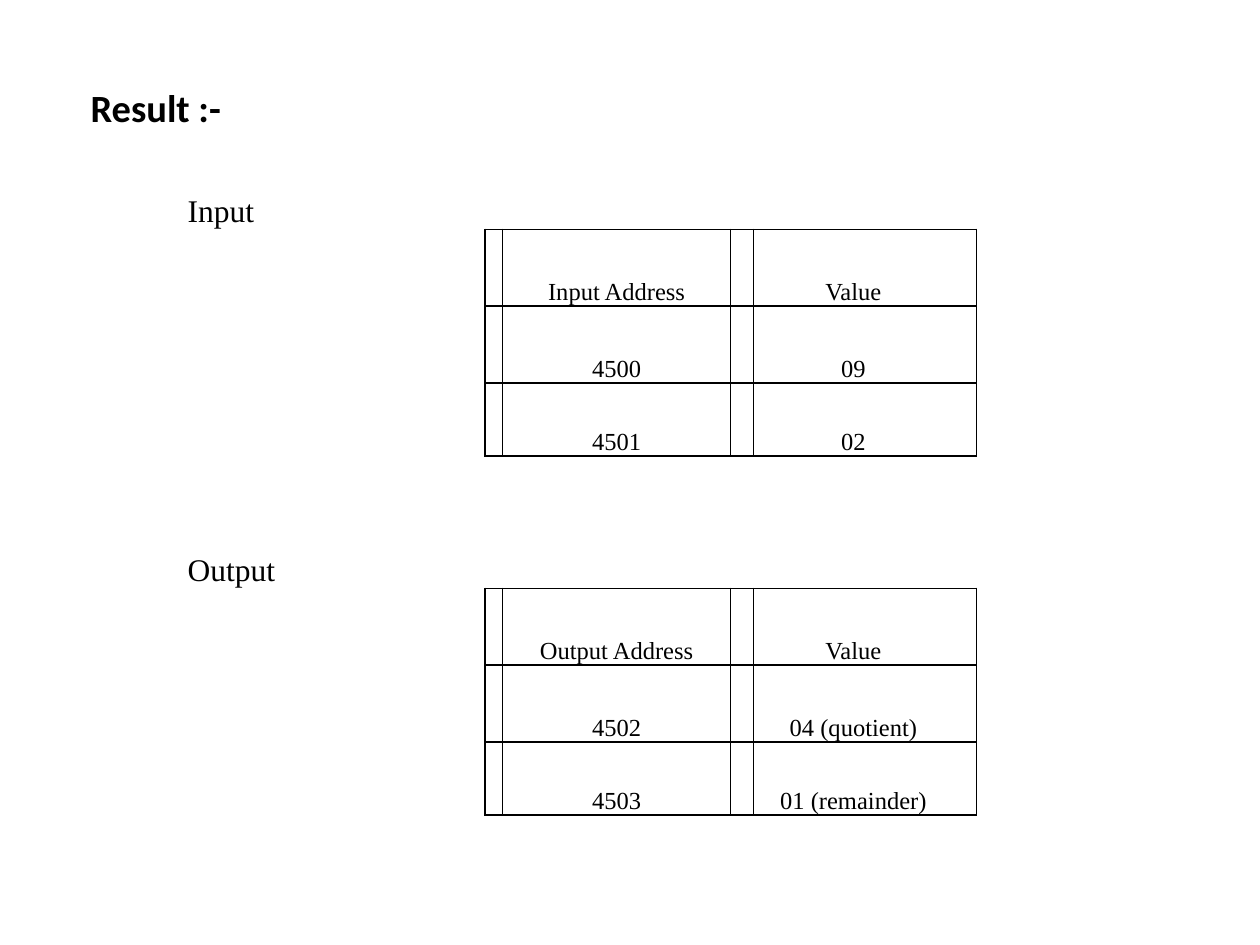
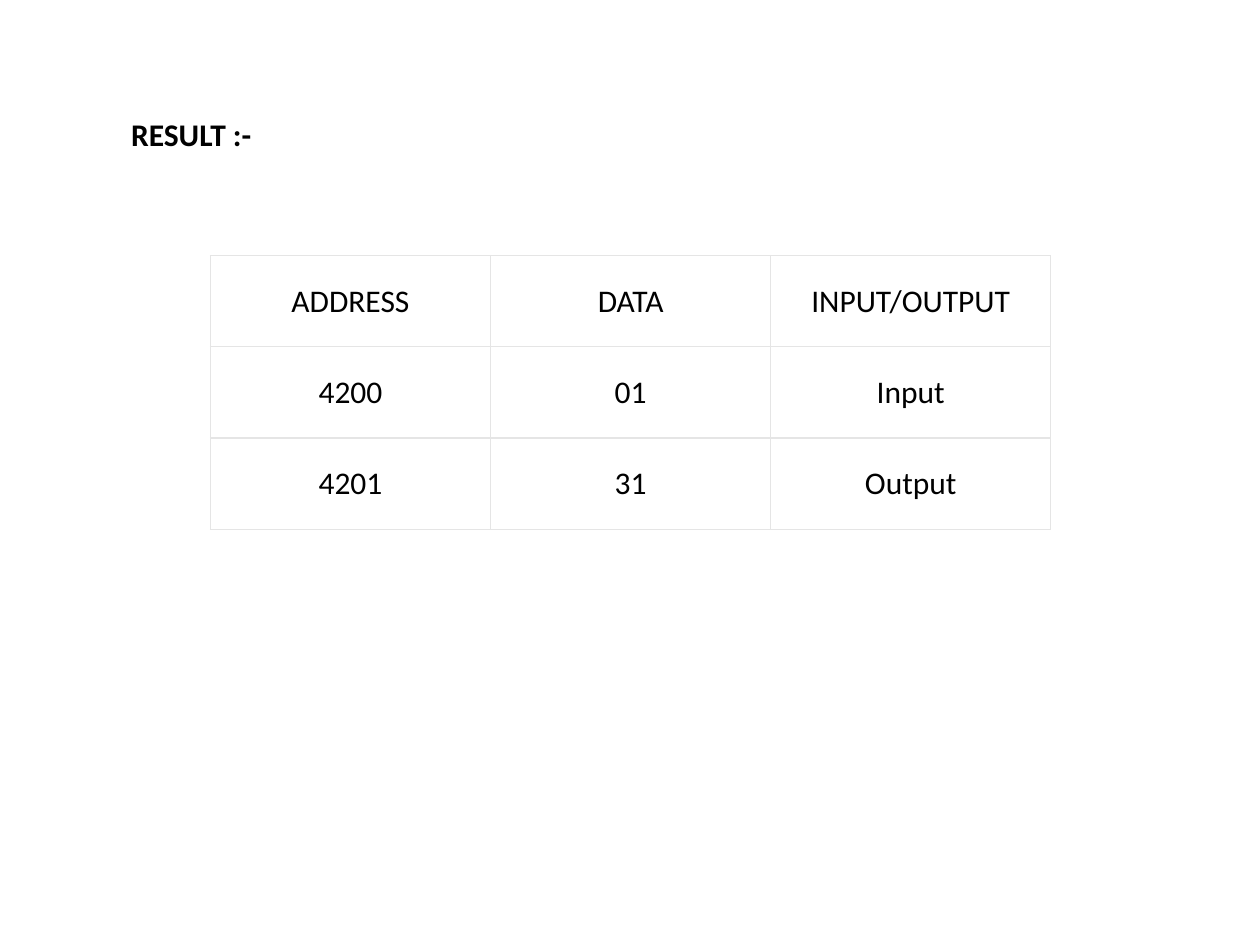
"""Build two slides that show program results in tables."""
import pptx
import pptx.util
import pptx.dml.color
import pptx.enum.text
import pptx.oxml.ns
import lxml.etree

Inches = pptx.util.Inches
Pt = pptx.util.Pt
ALIGN = pptx.enum.text.PP_ALIGN
ANCHOR = pptx.enum.text.MSO_ANCHOR
COLORS = {"ink": "000000", "paper": "FFFFFF", "rule": "E5E5E5"}
SERIF = "Times New Roman"
SANS = "Calibri"
PLAIN = "{2D5ABB26-0587-4C30-8999-92F81FD0307C}"
TITLE_ONLY = 5


def tint(name):
    return pptx.dml.color.RGBColor.from_string(COLORS[name])


def write(frame, text, font=SANS, size=18, bold=False, align=ALIGN.CENTER, space=None):
    para = frame.paragraphs[0]
    para.alignment = align
    if space:
        para.line_spacing = space
    run = para.add_run()
    run.text = text
    run.font.name = font
    run.font.size = Pt(size)
    run.font.bold = bold
    run.font.color.rgb = tint("ink")


class Deck:
    def __init__(self):
        self.prs = pptx.Presentation()
        self.prs.slide_width = Inches(10)
        self.prs.slide_height = Inches(7.5)
        self.slide = None

    def page(self):
        self.slide = self.prs.slides.add_slide(self.prs.slide_layouts[TITLE_ONLY])

    def title(self, text, box, size):
        head = self.slide.shapes.title
        head.left, head.top, head.width, head.height = map(Inches, box)
        frame = head.text_frame
        frame.auto_size = pptx.enum.text.MSO_AUTO_SIZE.NONE
        frame.vertical_anchor = ANCHOR.TOP
        write(frame, text, size=size, bold=True, align=ALIGN.LEFT)

    def grid(self, left, top, cols, rows, anchor):
        frame = self.slide.shapes.add_table(
            len(rows), len(cols), Inches(left), Inches(top),
            Inches(sum(cols)), Inches(sum(rows)))
        table = frame.table
        table.first_row = table.horz_banding = False
        table._tbl.tblPr.find(pptx.oxml.ns.qn("a:tableStyleId")).text = PLAIN
        for col, width in zip(table.columns, cols):
            col.width = Inches(width)
        for row, height in zip(table.rows, rows):
            row.height = Inches(height)
        for cell in table.iter_cells():
            cell.margin_left = cell.margin_right = 0
            cell.margin_top = cell.margin_bottom = 0
            cell.vertical_anchor = anchor
        return table

    def edge(self, cell, sides, color, width):
        props = cell._tc.get_or_add_tcPr()
        qn = pptx.oxml.ns.qn
        for side in sides:
            line = lxml.etree.SubElement(props, qn(f"a:ln{side}"), w=str(Pt(width)))
            fill = lxml.etree.SubElement(line, qn("a:solidFill"))
            lxml.etree.SubElement(fill, qn("a:srgbClr"), val=COLORS[color])

    def save(self):
        self.prs.save("out.pptx")


def sides(row, col):
    boxed = 3 <= col <= 8
    data = row % 4 > 0
    marks = {
        "L": data and col in (3, 6, 9),
        "R": data and col in (2, 4, 8),
        "T": boxed and row > 0,
        "B": boxed,
    }
    return [side for side, shown in marks.items() if shown]


def divide(deck):
    deck.page()
    cols = [1.2, 0.85, 0.39, 0.14, 0.22, 1.59, 0.18, 1.59, 0.18, 0.61, 0.87]
    rows = [1.04, 0.61, 0.61, 0.58, 1.05, 0.61, 0.61, 0.58]
    table = deck.grid(1.41, 0.78, cols, rows, ANCHOR.BOTTOM)
    for row in range(len(rows)):
        for col in range(len(cols)):
            deck.edge(table.cell(row, col), sides(row, col), "ink", 1)
    groups = {
        "Input": [("Input Address", "Value"), ("4500", "09"), ("4501", "02")],
        "Output": [("Output Address", "Value"), ("4502", "04 (quotient)"),
                   ("4503", "01 (remainder)")],
    }
    for start, (label, pairs) in zip((0, 4), groups.items()):
        cell = table.cell(start, 0)
        cell.margin_left = Inches(0.08)
        write(cell.text_frame, label, font=SERIF, align=ALIGN.LEFT, space=1.15)
        for row, pair in enumerate(pairs, start + 1):
            table.cell(row, 4).merge(table.cell(row, 5))
            for col, text in zip((4, 7), pair):
                write(table.cell(row, col).text_frame, text,
                      font=SERIF, size=14, space=Pt(13))
    deck.title("Result :-", (0.62, 0.62, 2.97, 0.47), 22)


def count(deck):
    deck.page()
    deck.title("RESULT :-", (0.94, 0.86, 1.72, 0.4), 18)
    lines = [("ADDRESS", "DATA", "INPUT/OUTPUT"),
             ("4200", "01", "Input"),
             ("4201", "31", "Output")]
    table = deck.grid(1.67, 2.03, [6.67 / 3] * 3, [2.17 / 3] * 3, ANCHOR.MIDDLE)
    for row, line in enumerate(lines):
        for col, text in enumerate(line):
            cell = table.cell(row, col)
            deck.edge(cell, "LRTB", "rule", 0.75)
            cell.fill.solid()
            cell.fill.fore_color.rgb = tint("paper")
            write(cell.text_frame, text)


def main():
    deck = Deck()
    divide(deck)
    count(deck)
    deck.save()


if __name__ == "__main__":
    main()
